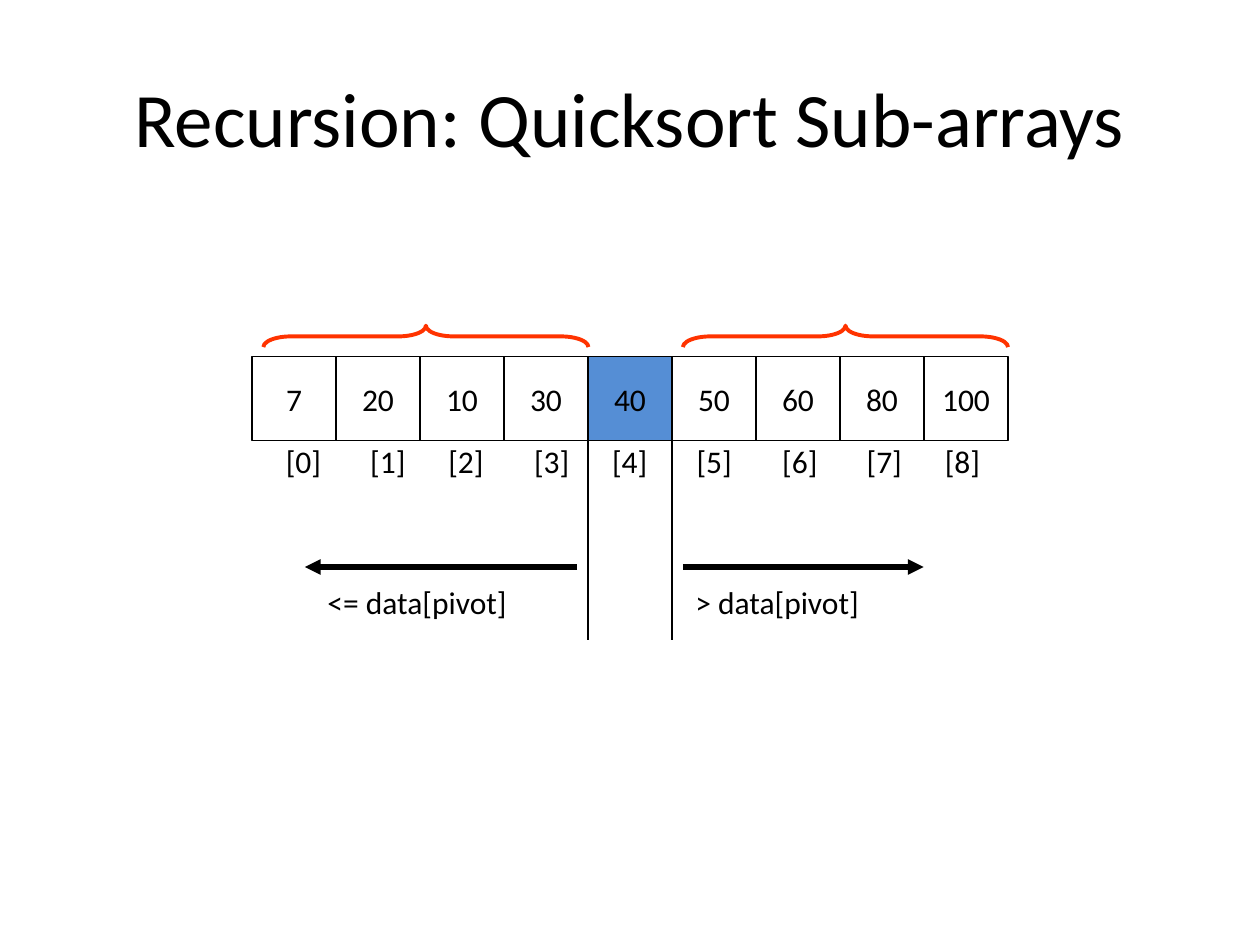
from lxml import etree
from pptx import Presentation
from pptx.dml.color import RGBColor
from pptx.enum.shapes import MSO_CONNECTOR, MSO_SHAPE
from pptx.enum.text import MSO_ANCHOR, PP_ALIGN
from pptx.oxml.ns import qn
from pptx.util import Inches, Pt

STRAIGHT = MSO_CONNECTOR.STRAIGHT
RECT, BRACE = MSO_SHAPE.RECTANGLE, MSO_SHAPE.LEFT_BRACE
TOP, MIDDLE = MSO_ANCHOR.TOP, MSO_ANCHOR.MIDDLE
LEFT, CENTER = PP_ALIGN.LEFT, PP_ALIGN.CENTER

TITLE = "Recursion: Quicksort Sub-arrays"
DATA = [7, 20, 10, 30, 40, 50, 60, 80, 100]
PIVOT = 4
INDEX_STOPS = [0.17, 0.84, 1.46, 2.14, 2.76, 3.43, 4.11, 4.78, 5.4]
SIDES = [  # label, label left, label width, arrow start, arrow end, brace centre
    ("<= data[pivot]", 2.5, 2.12, 4.58, 2.42, 3.38),
    ("> data[pivot]", 5.42, 1.93, 5.42, 7.33, 6.71),
]
BLACK, WHITE, BLUE, RED = "000000", "FFFFFF", "558ED5", "FF3300"

CELL = 2 / 3
ARRAY_LEFT, ARRAY_TOP = 2, 2.83
DIVIDER_BOTTOM, ARROW_Y, LABEL_TOP = 5.08, 4.5, 4.58
BRACE_DEPTH, BRACE_SPAN, BRACE_Y = 0.17, 2.58, 2.67


def rgb(color):
    return RGBColor.from_string(color)


def set_text(sp, text, size=18, align=LEFT, anchor=TOP, wrap=True, stops=()):
    tf = sp.text_frame
    tf.word_wrap = wrap
    tf.vertical_anchor = anchor
    p = tf.paragraphs[0]
    p.alignment = align
    if stops:
        tabs = etree.SubElement(p._p.get_or_add_pPr(), qn("a:tabLst"))
        for stop in stops:
            etree.SubElement(tabs, qn("a:tab"), pos=str(Inches(stop)), algn="l")
    r = p.add_run()
    r.text = text
    r.font.name = "Calibri"
    r.font.size = Pt(size)
    r.font.color.rgb = rgb(BLACK)


def add_text(s, text, left, top, width, height, **fmt):
    box = s.shapes.add_textbox(*map(Inches, (left, top, width, height)))
    set_text(box, text, **fmt)


def add_cell(s, value, left, fill):
    sp = s.shapes.add_shape(RECT, *map(Inches, (left, ARRAY_TOP, CELL, CELL)))
    sp.shadow.inherit = False
    sp.fill.solid()
    sp.fill.fore_color.rgb = rgb(fill)
    sp.line.color.rgb = rgb(BLACK)
    sp.line.width = Pt(0.75)
    set_text(sp, str(value), align=CENTER, anchor=MIDDLE, wrap=False)


def add_line(s, x1, y1, x2, y2, width=0.75, arrow=False):
    line = s.shapes.add_connector(STRAIGHT, *map(Inches, (x1, y1, x2, y2)))
    line.line.color.rgb = rgb(BLACK)
    line.line.width = Pt(width)
    if arrow:
        etree.SubElement(line.line._get_or_add_ln(), qn("a:tailEnd"), type="triangle")
    etree.SubElement(line._element.spPr, qn("a:effectLst"))


def add_brace(s, center):
    """Add a brace that is turned a quarter so that it points up."""
    sp = s.shapes.add_shape(BRACE, *map(Inches, (
        center - BRACE_DEPTH / 2, BRACE_Y - BRACE_SPAN / 2, BRACE_DEPTH, BRACE_SPAN)))
    sp.rotation = 90
    sp.adjustments[0] = 1.29
    sp.shadow.inherit = False
    sp.fill.background()
    sp.line.color.rgb = rgb(RED)
    sp.line.width = Pt(2.25)


def main():
    prs = Presentation()
    prs.slide_width, prs.slide_height = Inches(10), Inches(7.5)
    s = prs.slides.add_slide(prs.slide_layouts[6])

    add_text(s, TITLE, 0.5, 0.3, 9, 1.25, size=44, align=CENTER, anchor=MIDDLE)

    for i, value in enumerate(DATA):
        add_cell(s, value, ARRAY_LEFT + i * CELL, BLUE if i == PIVOT else WHITE)
    indexes = "".join(f"\t[{i}]" for i in range(len(DATA)))
    add_text(s, indexes, ARRAY_LEFT, 3.46, 7.87, 0.4, stops=INDEX_STOPS)

    for edge in (PIVOT, PIVOT + 1):
        x = ARRAY_LEFT + edge * CELL
        add_line(s, x, ARRAY_TOP, x, DIVIDER_BOTTOM)

    for label, left, width, start, end, center in SIDES:
        add_line(s, start, ARROW_Y, end, ARROW_Y, width=3, arrow=True)
        add_text(s, label, left, LABEL_TOP, width, 0.5)
        add_brace(s, center)

    prs.save("out.pptx")


if __name__ == "__main__":
    main()
